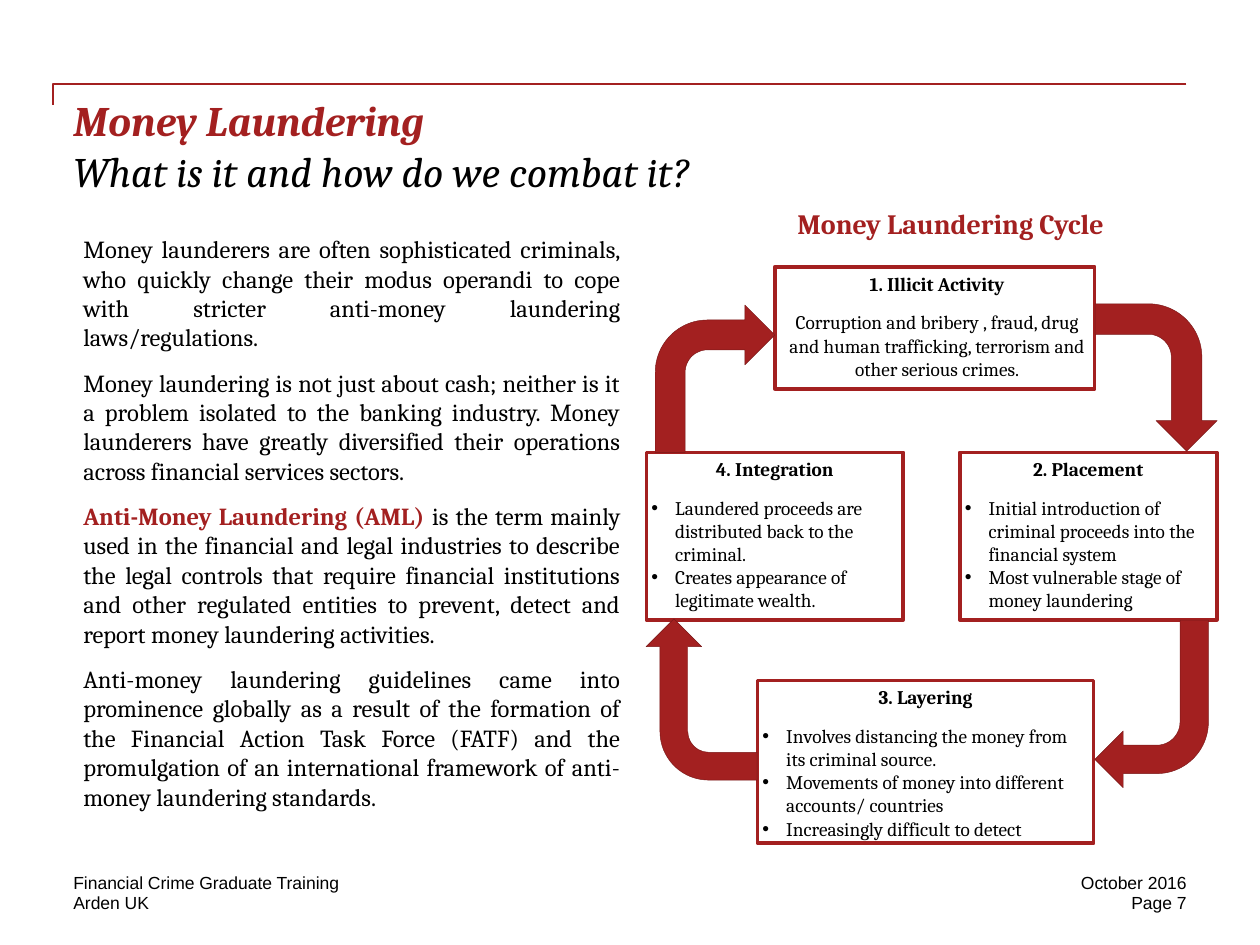
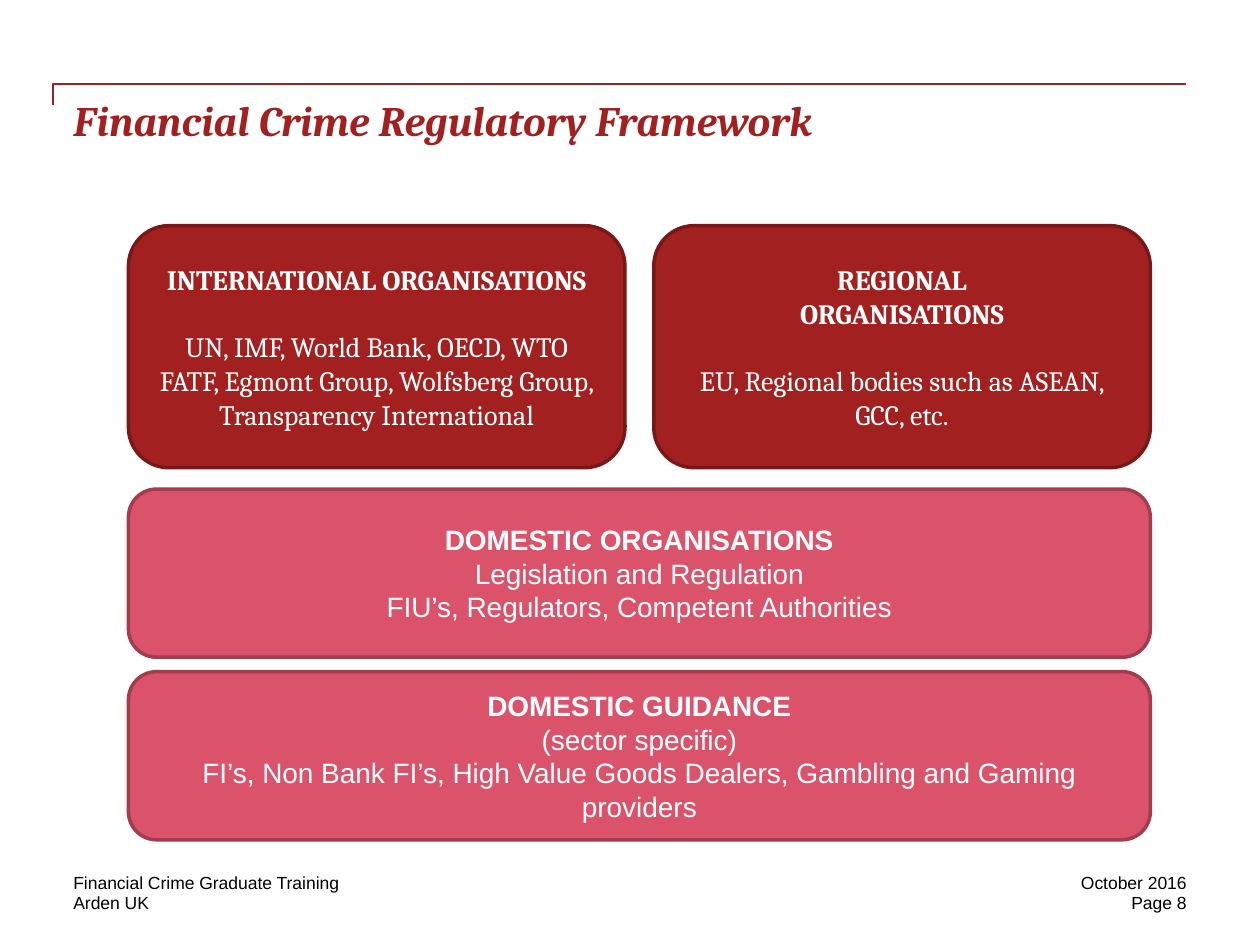
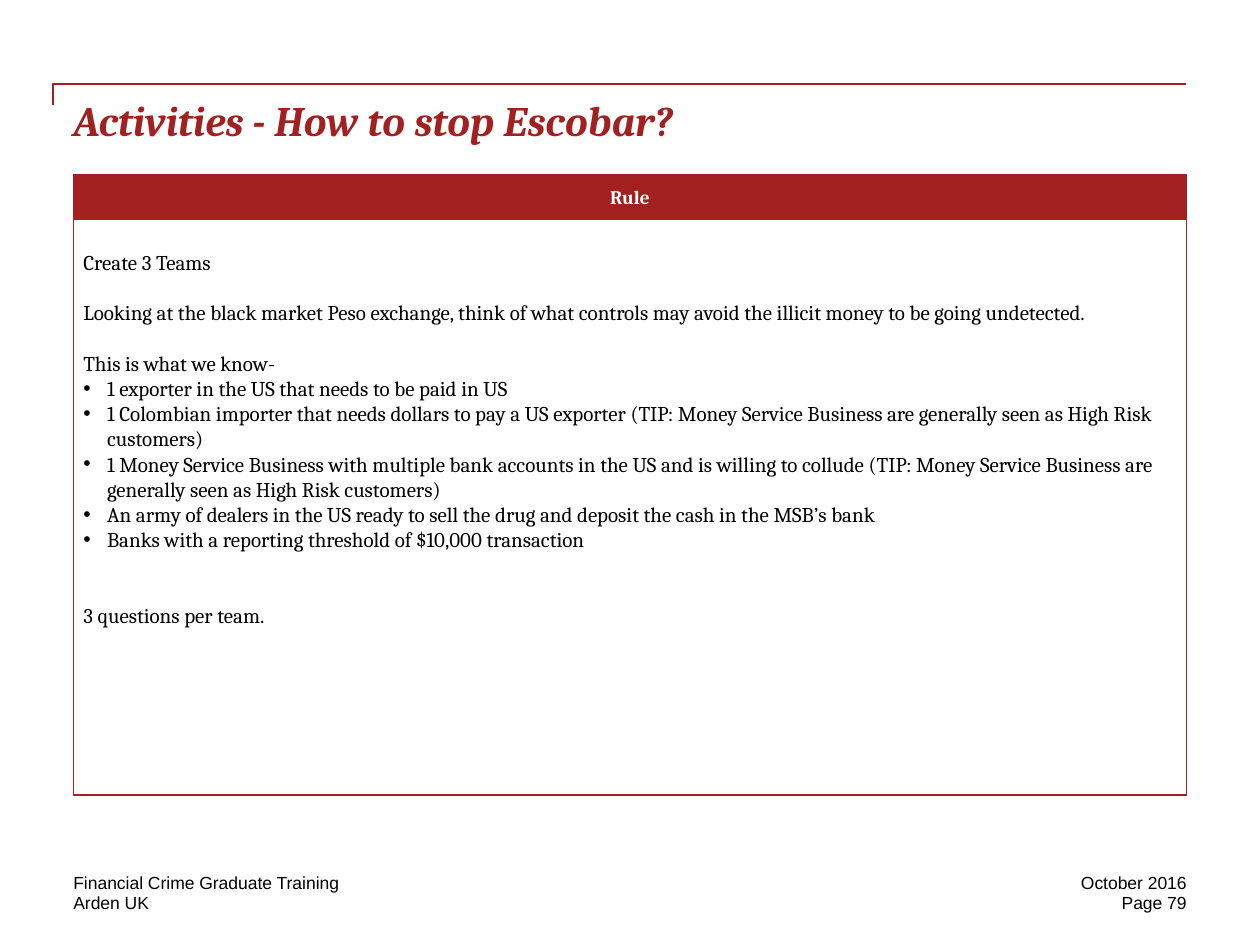
from dataclasses import dataclass

from lxml.etree import SubElement as Sub
from pptx import Presentation as Pres
from pptx.dml.color import RGBColor as RGB
from pptx.enum.shapes import MSO_CONNECTOR as Link, MSO_SHAPE as Kind
from pptx.enum.text import MSO_ANCHOR as Anchor, PP_ALIGN as Align
from pptx.oxml.ns import qn
from pptx.util import Cm, Pt

RED = RGB(0xA3, 0x20, 0x20)
DARK = RGB(0x79, 0x18, 0x18)
ROSE = RGB(0xDB, 0x53, 0x6A)
PLUM = RGB(0xA2, 0x3D, 0x4E)
WHITE = RGB(0xFF, 0xFF, 0xFF)
BLACK = RGB(0x00, 0x00, 0x00)
SERIF, SANS = "Cambria", "Arial"
EDGE, WIDE = 1.48, 22.44


@dataclass
class Para:
    """One paragraph, with an optional bold lead before its text."""

    text: str
    lead: str = ""
    bold: bool = False
    align: Align = Align.LEFT
    dot: bool = False
    before: float = 0
    after: float = 0


class Deck:
    """Holds the style and the current slide, and draws each kind of element."""

    def __init__(self):
        """Start an empty deck."""
        self.pres = Pres()
        self.pres.slide_width, self.pres.slide_height = Cm(25.4), Cm(19.05)
        self.slide = None

    def page(self, num, head, sub=""):
        """Add a slide with its bracket, title and footers."""
        self.slide = self.pres.slides.add_slide(self.pres.slide_layouts[6])
        self.rule()
        self.title(head, sub)
        for side, top, span, text, align in (
            (EDGE, 17.57, 14.6, "Financial Crime Graduate Training", Align.LEFT),
            (EDGE, 17.98, 7.19, "Arden UK", Align.LEFT),
            (19.69, 17.57, 4.23, "October 2016", Align.RIGHT),
            (19.69, 17.98, 4.23, f"Page {num}", Align.RIGHT),
        ):
            self.label((side, top, span, 0.43), [Para(text, align=align)], 10, SANS)

    def rule(self):
        """Draw the bracket line above the title."""
        line = self.slide.shapes.add_connector(
            Link.ELBOW, Cm(23.92), Cm(1.69), Cm(1.07), Cm(2.12))
        line.line.color.rgb, line.line.width = RED, Pt(1)
        props = line.element.spPr
        props.find(qn("a:prstGeom")).set("prst", "bentConnector2")
        Sub(props, qn("a:effectLst"))

    def title(self, head, sub):
        """Set the bold title and the plain line under it."""
        frame = self.frame((EDGE, 1.91, WIDE, 2.54))
        para = frame.paragraphs[0]
        self.run(para, head, 24, SERIF, RED, True, True)
        if sub:
            para.add_line_break()
            self.run(para, sub, 24, SERIF, BLACK, False, True)

    def run(self, para, text, size, face, tint, bold=False, slant=False):
        """Add one styled run."""
        run = para.add_run()
        run.text = text
        font = run.font
        font.size, font.name, font.bold, font.italic = Pt(size), face, bold, slant
        font.color.rgb = tint

    def frame(self, area, pad=(0, 0, 0, 0)):
        """Add a text box and return its frame."""
        box = self.slide.shapes.add_textbox(*map(Cm, area))
        self.fit(box.text_frame, pad)
        return box.text_frame

    def fit(self, frame, pad, anchor=Anchor.TOP):
        """Set wrap, anchor and left, top, right, bottom margins."""
        frame.word_wrap, frame.vertical_anchor = True, anchor
        (frame.margin_left, frame.margin_top,
         frame.margin_right, frame.margin_bottom) = map(Cm, pad)

    def prose(self, frame, paras, size, face, tint):
        """Fill a frame with paragraphs."""
        for num, item in enumerate(paras):
            para = frame.add_paragraph() if num else frame.paragraphs[0]
            para.alignment = item.align
            if item.dot:
                props = para._p.get_or_add_pPr()
                props.set("marL", str(Cm(0.48)))
                props.set("indent", str(-Cm(0.48)))
                Sub(props, qn("a:buFont"), typeface=SANS)
                Sub(props, qn("a:buChar"), char="•")
            para.space_before, para.space_after = Pt(item.before), Pt(item.after)
            if item.lead:
                self.run(para, item.lead, size, face, RED, True)
            self.run(para, item.text, size, face, tint, item.bold)

    def label(self, area, paras, size, face=SERIF, tint=BLACK, pad=(0, 0, 0, 0)):
        """Add a text box with paragraphs."""
        self.prose(self.frame(area, pad), paras, size, face, tint)

    def shape(self, kind, area, fill, edge, width):
        """Add a preset shape without shadow."""
        shape = self.slide.shapes.add_shape(kind, *map(Cm, area))
        shape.shadow.inherit = False
        if fill is None:
            shape.fill.background()
        else:
            shape.fill.solid()
            shape.fill.fore_color.rgb = fill
        shape.line.color.rgb, shape.line.width = edge, Pt(width)
        return shape

    def stage(self, area, head, paras, left=0.1):
        """Add one boxed stage of the cycle."""
        box = self.shape(Kind.RECTANGLE, area, WHITE, RED, 2)
        self.fit(box.text_frame, (left, 0.1, 0.1, 0.1))
        top = Para(head, bold=True, align=Align.CENTER, after=9)
        self.prose(box.text_frame, [top, *paras], 11, SERIF, BLACK)

    def arrow(self, area, turn, bend=0.4375):
        """Add a bent arrow turned by some degrees."""
        arrow = self.shape(Kind.BENT_ARROW, area, RED, DARK, 0.25)
        arrow.rotation = turn
        arrow.adjustments[3] = bend

    def tile(self, area, fill, edge, face, heads, lines, gap=0):
        """Add a rounded tile with bold heads and plain lines."""
        tile = self.shape(Kind.FLOWCHART_ALTERNATE_PROCESS, area, fill, edge, 2)
        self.fit(tile.text_frame, (0.25, 0.13, 0.25, 0.13), Anchor.MIDDLE)
        paras = [Para(text, bold=True, align=Align.CENTER) for text in heads]
        paras += [Para(text, align=Align.CENTER) for text in lines]
        paras[len(heads)].before = gap
        self.prose(tile.text_frame, paras, 16, face, WHITE)


def dots(*texts):
    """Make bulleted paragraphs."""
    return [Para(text, dot=True) for text in texts]


def cycle(deck):
    """Build the money laundering slide."""
    deck.page(7, "Money Laundering", "What is it and how do we combat it?")
    body = (
        ("", "Money launderers are often sophisticated criminals, who quickly change "
         "their modus operandi to cope with stricter anti-money laundering "
         "laws/regulations."),
        ("", "Money laundering is not just about cash; neither is it a problem "
         "isolated to the banking industry. Money launderers have greatly "
         "diversified their operations across financial services sectors."),
        ("Anti-Money Laundering (AML) ", "is the term mainly used in the financial "
         "and legal industries to describe the legal controls that require "
         "financial institutions and other regulated entities to prevent, detect "
         "and report money laundering activities."),
        ("", "Anti-money laundering guidelines came into prominence globally as a "
         "result of the formation of the Financial Action Task Force (FATF) and the "
         "promulgation of an international framework of anti-money laundering "
         "standards."),
    )
    deck.label((EDGE, 4.72, 11.23, 12.42),
               [Para(text, lead, align=Align.JUSTIFY, after=9) for lead, text in body],
               14, pad=(0.2, 0, 0.2, 0))
    deck.label((14.4, 4.17, 9.53, 0.84),
               [Para("Money Laundering Cycle", bold=True, align=Align.CENTER)],
               16, tint=RED)
    deck.stage((15.62, 5.38, 6.45, 2.46), "1. Illicit Activity", [Para(
        "Corruption and bribery , fraud, drug and human trafficking, terrorism and "
        "other serious crimes.", align=Align.CENTER)], 0.2)
    deck.stage((19.35, 9.12, 5.18, 3.38), "2. Placement", dots(
        "Initial introduction of criminal proceeds into the financial system",
        "Most vulnerable stage of money laundering"))
    deck.stage((13.03, 9.12, 5.18, 3.38), "4. Integration", dots(
        "Laundered proceeds are distributed back to the criminal.",
        "Creates appearance of legitimate wealth."))
    deck.stage((15.27, 13.72, 6.78, 3.28), "3. Layering", dots(
        "Involves distancing the money from its criminal source.",
        "Movements of money into different accounts/ countries",
        "Increasingly difficult to detect"))
    deck.arrow((21.82, 6.38, 2.97, 2.46), 90)
    deck.arrow((22.07, 12.5, 2.29, 3.38), 180, 0.454)
    deck.arrow((12.52, 12.98, 3.25, 2.24), 270)
    deck.arrow((13.21, 6.15, 2.41, 2.97), 0)


def bodies(deck):
    """Build the regulatory framework slide."""
    deck.page(8, "Financial Crime Regulatory Framework")
    left, span, half = 2.59, 20.6, 10.01
    deck.tile((left, 4.55, half, 4.88), RED, DARK, SERIF,
              ["INTERNATIONAL ORGANISATIONS"],
              ["UN, IMF, World Bank, OECD, WTO",
               "FATF, Egmont Group, Wolfsberg Group, Transparency International"], 19.2)
    deck.tile((left + span - half, 4.55, half, 4.88), RED, DARK, SERIF,
              ["REGIONAL", "ORGANISATIONS"],
              ["EU, Regional bodies such as ASEAN, GCC, etc."], 19.2)
    deck.tile((left, 9.86, span, 3.39), ROSE, PLUM, SANS,
              ["DOMESTIC ORGANISATIONS"],
              ["Legislation and Regulation", "FIU’s, Regulators, Competent Authorities"])
    deck.tile((left, 13.54, span, 3.39), ROSE, PLUM, SANS,
              ["DOMESTIC GUIDANCE"],
              ["(sector specific)",
               "FI’s, Non Bank FI’s, High Value Goods Dealers, Gambling and Gaming "
               "providers"])


def game(deck):
    """Build the activity slide."""
    deck.page(79, "Activities - How to stop Escobar?")
    bar = deck.shape(Kind.RECTANGLE, (EDGE, 3.51, WIDE, 0.9), RED, RED, 0.5)
    deck.fit(bar.text_frame, (0.28, 0.15, 0.28, 0.15), Anchor.MIDDLE)
    deck.prose(bar.text_frame, [Para("Rule", bold=True, align=Align.CENTER)],
               11, SERIF, WHITE)
    gap = 14.4
    box = deck.shape(Kind.RECTANGLE, (EDGE, 4.42, WIDE, 11.61), None, RED, 0.75)
    deck.fit(box.text_frame, (0.2, 0.61, 0.2, 0.1))
    deck.prose(box.text_frame, [
        Para("Create 3 Teams"),
        Para("Looking at the black market Peso exchange, think of what controls may "
             "avoid the illicit money to be going undetected.", before=gap),
        Para("This is what we know-", before=gap),
        *dots(
            "1 exporter in the US that needs to be paid in US",
            "1 Colombian importer that needs dollars to pay a US exporter (TIP: Money "
            "Service Business are generally seen as High Risk customers)",
            "1 Money Service Business with multiple bank accounts in the US and is "
            "willing to collude (TIP: Money Service Business are generally seen as "
            "High Risk customers)",
            "An army of dealers in the US ready to sell the drug and deposit the cash "
            "in the MSB’s bank",
            "Banks with a reporting threshold of $10,000 transaction"),
        Para("3 questions per team.", before=2 * gap),
    ], 12, SERIF, BLACK)


def main():
    """Build and save the deck."""
    deck = Deck()
    for build in (cycle, bodies, game):
        build(deck)
    deck.pres.save("out.pptx")


if __name__ == "__main__":
    main()
